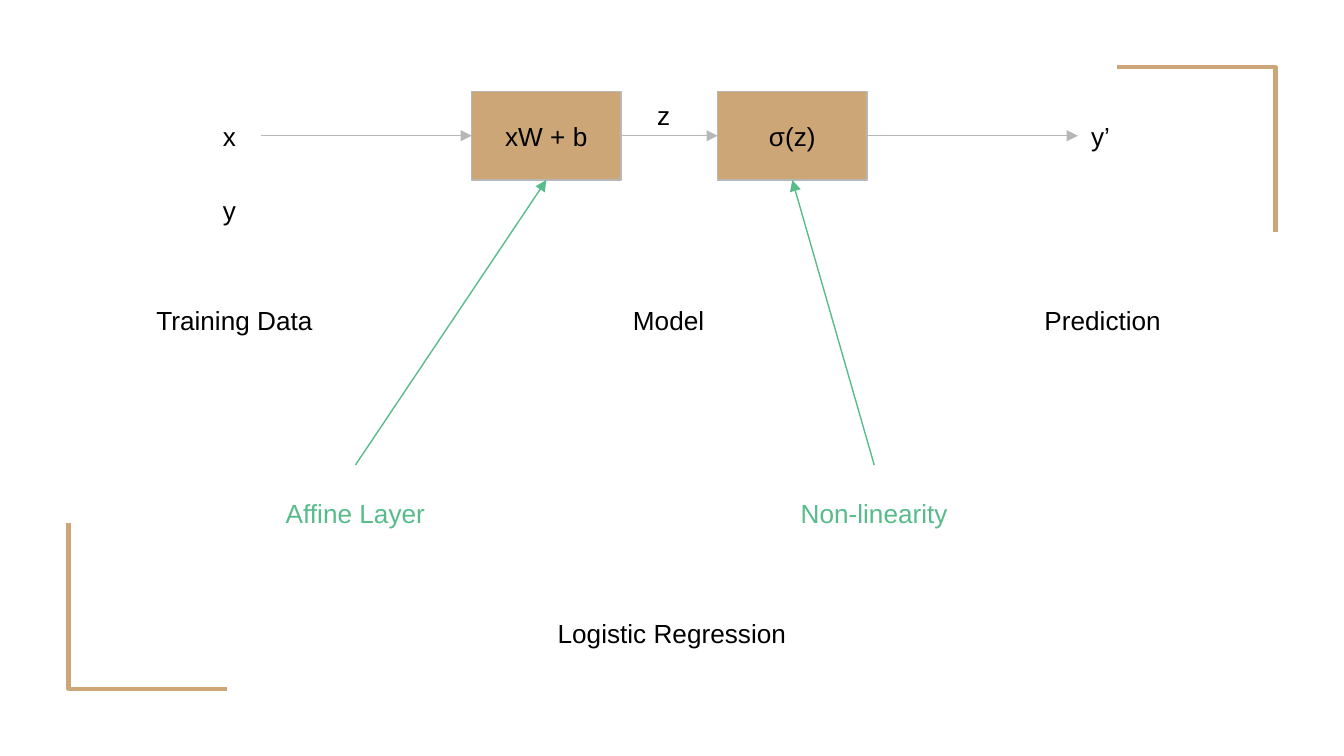
import pptx
import pptx.util
import pptx.dml.color
import pptx.enum.shapes
import pptx.enum.text
import pptx.oxml
import pptx.oxml.ns

WIDTH = 10
HEIGHT = WIDTH * 9 / 16

THEME = {
    "font": "Arial", "size": 14, "text": "000000", "accent": "57BB8A",
    "tan": "CCA677", "gray": "B7B7B7", "thin": 0.75, "thick": 2.25,
}

# Flow from left to right: name, text, is it a filled box, gap before it
FLOW = [
    ("input", "x", False, 1.56),
    ("affine", "xW + b", True, 1.57),
    ("sigmoid", "σ(z)", True, 0.72),
    ("output", "y’", False, 1.57),
]
SYMBOLS = [("y", 1.56, 1.23), ("z", 4.79, 0.53)]
CAPTIONS = ["Training Data", "Model", "Prediction"]
CALLOUTS = [("Affine Layer", "affine"), ("Non-linearity", "sigmoid")]
TITLE = "Logistic Regression"

# Grid: row tops, column starts and pitches, cell sizes
FLOW_TOP, ROW_HEIGHT = 0.68, 0.66
SYMBOL_WIDTH, BOX_WIDTH = 0.38, 1.11
CAPTION_LEFT, CAPTION_PITCH, CAPTION_TOP, CAPTION_WIDTH = 0.96, 3.23, 2.05, 1.57
CALLOUT_LEFT, CALLOUT_PITCH, CALLOUT_TOP = 1.43, 3.86, 3.46
CALLOUT_WIDTH, CALLOUT_HEIGHT = 2.43, 0.71
TITLE_TOP, TITLE_WIDTH = 4.38, 2.2
MARGIN_X, MARGIN_Y = 0.51, 0.5
BRACKET_WIDTH, BRACKET_HEIGHT = 1.18, 1.23
TOP, LEFT, BOTTOM, RIGHT = range(4)  # connection sites of a rectangle

inches = pptx.util.Inches


def color(name):
    return pptx.dml.color.RGBColor.from_string(THEME[name])


def style_line(line, name, weight):
    line.color.rgb = color(name)
    line.width = pptx.util.Pt(THEME[weight])


def add_text(slide, text, left, top, width, height=ROW_HEIGHT, *,
             centered=True, text_color="text", fill=None):
    """Add a text box, or a filled and outlined rectangle when fill is given."""
    area = [inches(length) for length in (left, top, width, height)]
    if fill:
        shape = slide.shapes.add_shape(
            pptx.enum.shapes.MSO_SHAPE.RECTANGLE, *area)
        shape.shadow.inherit = False
        shape.fill.solid()
        shape.fill.fore_color.rgb = color(fill)
        style_line(shape.line, "gray", "thin")
    else:
        shape = slide.shapes.add_textbox(*area)
    frame = shape.text_frame
    frame.word_wrap = True
    frame.vertical_anchor = pptx.enum.text.MSO_ANCHOR.MIDDLE
    frame.margin_left = frame.margin_right = inches(0.1)
    frame.margin_top = frame.margin_bottom = inches(0.1)
    paragraph = frame.paragraphs[0]
    alignment = pptx.enum.text.PP_ALIGN
    paragraph.alignment = alignment.CENTER if centered else alignment.LEFT
    run = paragraph.add_run()
    run.text = text
    run.font.name = THEME["font"]
    run.font.size = pptx.util.Pt(THEME["size"])
    run.font.color.rgb = color(text_color)
    return shape


def add_arrow(slide, start, start_site, end, end_site, line_color):
    connector = slide.shapes.add_connector(
        pptx.enum.shapes.MSO_CONNECTOR.STRAIGHT, 0, 0, 0, 0)
    connector.begin_connect(start, start_site)
    connector.end_connect(end, end_site)
    style_line(connector.line, line_color, "thin")
    namespace = pptx.oxml.ns.nsdecls("a")
    connector.line._get_or_add_ln().append(
        pptx.oxml.parse_xml(f'<a:tailEnd {namespace} type="triangle"/>'))
    connector._element.spPr.append(
        pptx.oxml.parse_xml(f"<a:effectLst {namespace}/>"))


def add_bracket(slide, corner_x, corner_y, direction):
    """Draw an L from a corner; direction 1 opens right and up, -1 left and down."""
    points = [
        (corner_x, corner_y - direction * BRACKET_HEIGHT),
        (corner_x, corner_y),
        (corner_x + direction * BRACKET_WIDTH, corner_y),
    ]
    start, *rest = [(inches(x), inches(y)) for x, y in points]
    builder = slide.shapes.build_freeform(*start)
    builder.add_line_segments(rest, close=False)
    bracket = builder.convert_to_shape()
    bracket.shadow.inherit = False
    bracket.fill.background()
    style_line(bracket.line, "tan", "thick")


def add_flow(slide):
    nodes = {}
    left = 0
    for name, text, is_box, gap in FLOW:
        left += gap
        width = BOX_WIDTH if is_box else SYMBOL_WIDTH
        nodes[name] = add_text(slide, text, left, FLOW_TOP, width,
                               centered=is_box, fill="tan" if is_box else None)
        left += width
    steps = list(nodes.values())
    for start, end in zip(steps, steps[1:]):
        add_arrow(slide, start, RIGHT, end, LEFT, "gray")
    return nodes


def main():
    presentation = pptx.Presentation()
    presentation.slide_width = inches(WIDTH)
    presentation.slide_height = inches(HEIGHT)
    slide = presentation.slides.add_slide(presentation.slide_layouts[6])

    add_bracket(slide, WIDTH - MARGIN_X, MARGIN_Y, -1)
    add_bracket(slide, MARGIN_X, HEIGHT - MARGIN_Y, 1)

    nodes = add_flow(slide)
    for text, left, top in SYMBOLS:
        add_text(slide, text, left, top, SYMBOL_WIDTH, centered=False)
    for column, text in enumerate(CAPTIONS):
        add_text(slide, text, CAPTION_LEFT + column * CAPTION_PITCH,
                 CAPTION_TOP, CAPTION_WIDTH)
    for column, (text, target) in enumerate(CALLOUTS):
        callout = add_text(slide, text, CALLOUT_LEFT + column * CALLOUT_PITCH,
                           CALLOUT_TOP, CALLOUT_WIDTH, CALLOUT_HEIGHT,
                           text_color="accent")
        add_arrow(slide, callout, TOP, nodes[target], BOTTOM, "accent")
    add_text(slide, TITLE, (WIDTH - TITLE_WIDTH) / 2, TITLE_TOP, TITLE_WIDTH)

    presentation.save("out.pptx")


if __name__ == "__main__":
    main()
